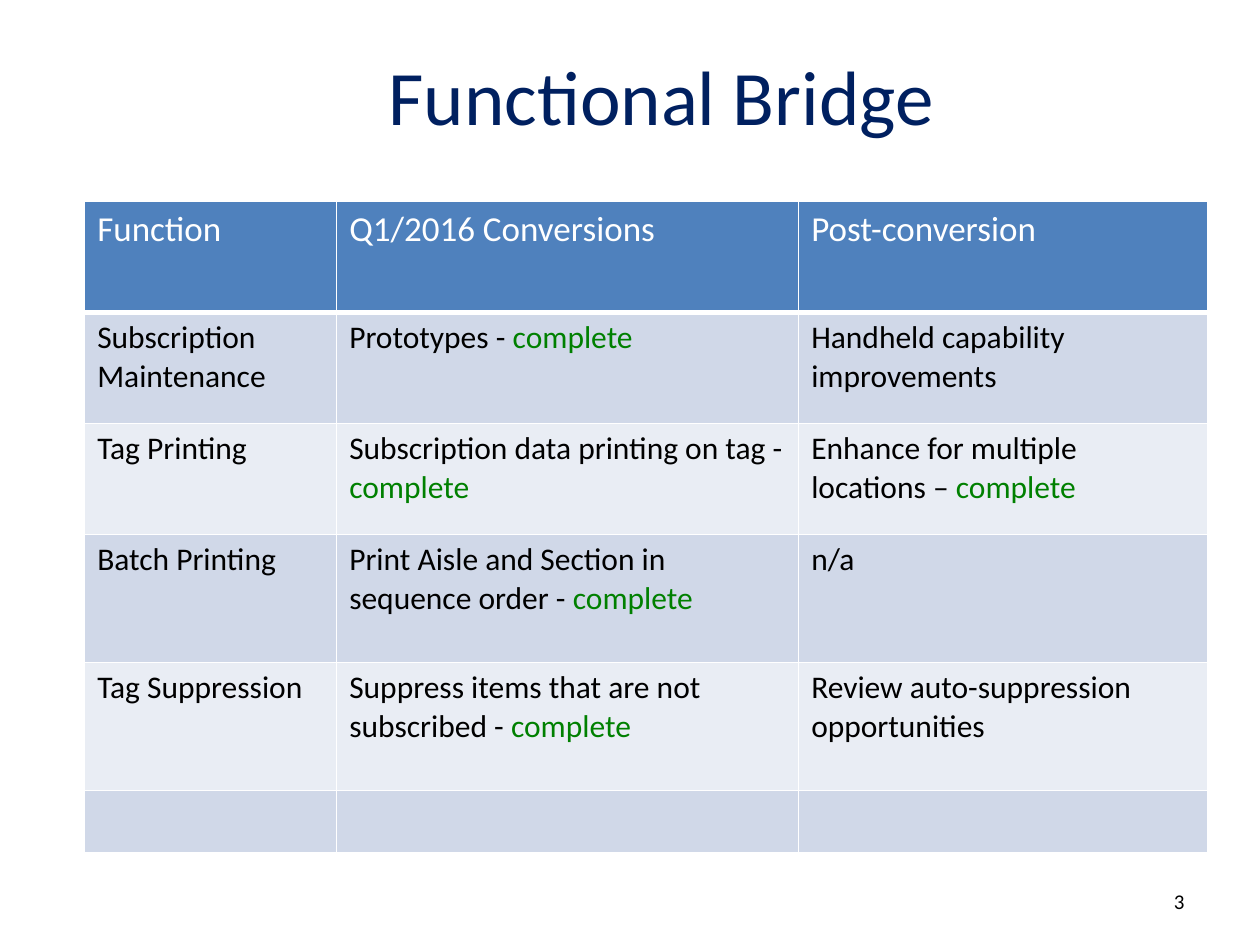
from dataclasses import dataclass

from lxml.etree import SubElement
from pptx import Presentation
from pptx.dml.color import RGBColor
from pptx.enum.text import MSO_ANCHOR, PP_ALIGN
from pptx.oxml.ns import qn
from pptx.slide import Slide
from pptx.table import _Cell
from pptx.text.text import _Paragraph
from pptx.util import Pt


@dataclass(frozen=True)
class Theme:
    font: str = "Calibri"
    title: str = "002060"
    ink: str = "000000"
    done: str = "008000"
    paper: str = "FFFFFF"
    header: str = "4F81BD"
    bands: tuple[str, str] = ("D0D8E8", "E9EDF4")
    title_size: float = 44
    header_size: float = 20
    body_size: float = 18
    number_size: float = 12
    border: float = 1
    header_border: float = 3


@dataclass(frozen=True)
class Label:
    text: str
    left: float
    top: float
    width: float
    height: float
    size: float
    color: str
    align: PP_ALIGN


@dataclass(frozen=True)
class Entry:
    text: str
    status: str = ""


@dataclass(frozen=True)
class Row:
    height: float
    entries: tuple[Entry, Entry, Entry]


THEME = Theme()
COMPLETE = "complete"
COLUMN_WIDTHS = (144, 264, 234)
LABELS = (
    Label("Functional Bridge", -78, 7.2, 912, 93.6, THEME.title_size, THEME.title, PP_ALIGN.CENTER),
    Label("3", 516, 500.4, 168, 28.8, THEME.number_size, THEME.ink, PP_ALIGN.RIGHT),
)
ROWS = (
    Row(63.4, (Entry("Function"), Entry("Q1/2016 Conversions"), Entry("Post-conversion"))),
    Row(63.4, (
        Entry("Subscription Maintenance"),
        Entry("Prototypes - ", COMPLETE),
        Entry("Handheld capability improvements"),
    )),
    Row(63.4, (
        Entry("Tag Printing"),
        Entry("Subscription data printing on tag - ", COMPLETE),
        Entry("Enhance for multiple locations – ", COMPLETE),
    )),
    Row(73.2, (
        Entry("Batch Printing"),
        Entry("Print Aisle and Section in sequence order - ", COMPLETE),
        Entry("n/a"),
    )),
    Row(73.2, (
        Entry("Tag Suppression"),
        Entry("Suppress items that are not subscribed - ", COMPLETE),
        Entry("Review auto-suppression opportunities"),
    )),
    Row(35.3, (Entry(""), Entry(""), Entry(""))),
)


def style_paragraph(paragraph: _Paragraph, size: float, color: str) -> None:
    paragraph.font.size = Pt(size)
    for span in paragraph.runs:
        span.font.name = THEME.font
        span.font.size = Pt(size)
        span.font.bold = False
        span.font.color.rgb = RGBColor.from_string(color)


def add_label(page: Slide, label: Label) -> None:
    box = page.shapes.add_textbox(Pt(label.left), Pt(label.top), Pt(label.width), Pt(label.height))
    frame = box.text_frame
    frame.word_wrap = True
    frame.vertical_anchor = MSO_ANCHOR.MIDDLE
    frame.text = label.text
    paragraph = frame.paragraphs[0]
    paragraph.alignment = label.align
    style_paragraph(paragraph, label.size, label.color)


def add_borders(cell: _Cell, bottom: float) -> None:
    properties = cell._tc.get_or_add_tcPr()
    sides = {"lnL": THEME.border, "lnR": THEME.border, "lnT": THEME.border, "lnB": bottom}
    for side, width in sides.items():
        line = SubElement(properties, qn(f"a:{side}"), w=str(Pt(width)))
        fill = SubElement(line, qn("a:solidFill"))
        SubElement(fill, qn("a:srgbClr"), val=THEME.paper)


def fill_cell(cell: _Cell, entry: Entry, row_index: int) -> None:
    is_header = row_index == 0
    add_borders(cell, THEME.header_border if is_header else THEME.border)
    cell.fill.solid()
    background = THEME.header if is_header else THEME.bands[(row_index - 1) % 2]
    cell.fill.fore_color.rgb = RGBColor.from_string(background)
    cell.text_frame.text = entry.text
    paragraph = cell.text_frame.paragraphs[0]
    if entry.status:
        paragraph.add_run().text = entry.status
    size = THEME.header_size if is_header else THEME.body_size
    style_paragraph(paragraph, size, THEME.paper if is_header else THEME.ink)
    if entry.status:
        paragraph.runs[-1].font.color.rgb = RGBColor.from_string(THEME.done)


def add_function_table(page: Slide) -> None:
    width, height = sum(COLUMN_WIDTHS), sum(row.height for row in ROWS)
    frame = page.shapes.add_table(
        len(ROWS), len(COLUMN_WIDTHS), Pt(48.4), Pt(115.2), Pt(width), Pt(height)
    )
    table = frame.table
    table.horz_banding = False
    for column, column_width in zip(table.columns, COLUMN_WIDTHS):
        column.width = Pt(column_width)
    for row_index, row in enumerate(ROWS):
        table.rows[row_index].height = Pt(row.height)
        for column_index, entry in enumerate(row.entries):
            fill_cell(table.cell(row_index, column_index), entry, row_index)


def main() -> None:
    """Build the functional bridge slide and save it."""
    deck = Presentation()
    deck.slide_width, deck.slide_height = Pt(720), Pt(540)
    page = deck.slides.add_slide(deck.slide_layouts[6])
    for label in LABELS:
        add_label(page, label)
    add_function_table(page)
    deck.save("out.pptx")


if __name__ == "__main__":
    main()
